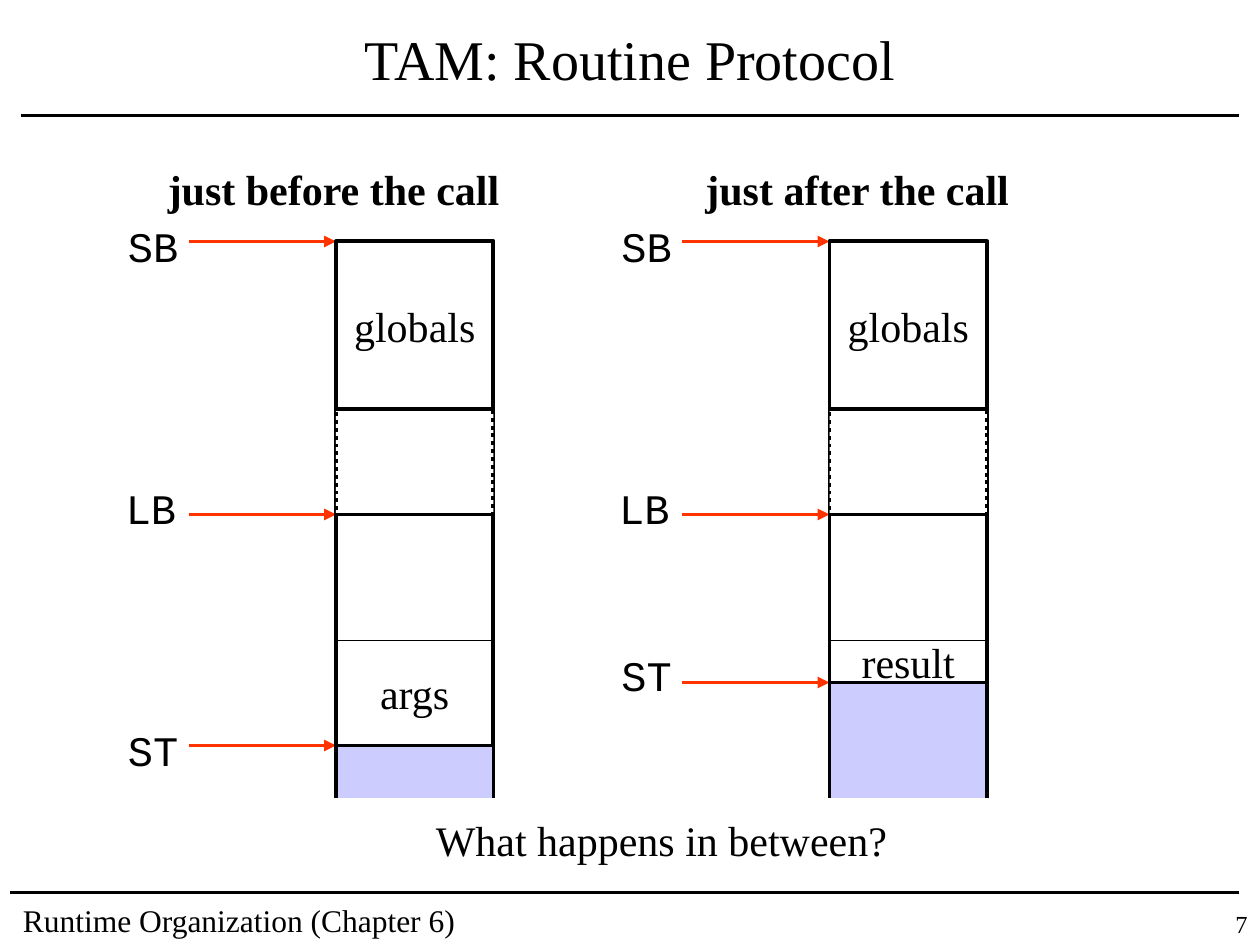
from dataclasses import dataclass

from lxml.etree import SubElement
from pptx import Presentation
from pptx.dml.color import RGBColor
from pptx.enum.dml import MSO_LINE
from pptx.enum.shapes import MSO_CONNECTOR, MSO_SHAPE
from pptx.enum.text import MSO_ANCHOR, PP_ALIGN
from pptx.oxml.ns import qn
from pptx.util import Pt

PX = 7620  # 120 px to the inch
SERIF, MONO = "Times New Roman", "Courier New"
HUES = {"ink": "000000", "paper": "FFFFFF", "free": "CCCCFF", "arrow": "FF3300"}
WIDE, TOP, BASE = 150, 230, 760  # stack width, upper and lower end
GLOBAL, FRAME, SPLIT = 390, 490, 610  # globals end, frame start, divider


@dataclass
class Mark:
    name: str
    dx: int
    top: int
    tip: int


@dataclass
class Stack:
    left: int
    head: str
    start: int
    span: int
    end: int
    mark: int
    item: str
    item_top: int


STACKS = [
    Stack(320, "just before the call", 148, 341, 710, 684, "args", 630),
    Stack(790, "just after the call", 660, 313, 650, 613, "result", 600),
]


def hue(name: str) -> RGBColor:
    return RGBColor.from_string(HUES[name])


def write(shape, words: str, size: int = 24, font: str = SERIF, bold: bool = False,
          align=PP_ALIGN.LEFT, anchor=MSO_ANCHOR.TOP, wrap: bool = True) -> None:
    frame = shape.text_frame
    frame.text = words
    frame.word_wrap = wrap
    frame.vertical_anchor = anchor
    para = frame.paragraphs[0]
    para.alignment = align
    para.font.name, para.font.size, para.font.bold = font, Pt(size), bold
    para.font.color.rgb = hue("ink")


def label(shapes, box: tuple[int, ...], words: str, **style) -> None:
    write(shapes.add_textbox(*(v * PX for v in box)), words, **style)


def line(shapes, x: int, y: int, end: int, color: str = "ink",
         width: float = 2.25, arrow: bool = False) -> None:
    """Draw a level line from x to end."""
    rule = shapes.add_connector(MSO_CONNECTOR.STRAIGHT, x * PX, y * PX, end * PX, y * PX)
    rule.line.color.rgb = hue(color)
    rule.line.width = Pt(width)
    if arrow:
        SubElement(rule.line._get_or_add_ln(), qn("a:tailEnd"), type="triangle")
    SubElement(rule._element.spPr, qn("a:effectLst"))


def paint(shape, fill: str) -> None:
    shape.shadow.inherit = False
    shape.fill.solid()
    shape.fill.fore_color.rgb = hue(fill)
    shape.line.color.rgb = hue("ink")
    shape.line.width = Pt(2.25)


def block(shapes, left: int, top: int, end: int):
    """Add a white stack section between two heights."""
    rect = shapes.add_shape(MSO_SHAPE.RECTANGLE, left * PX, top * PX,
                            WIDE * PX, (end - top) * PX)
    paint(rect, "paper")
    return rect


def draw(shapes, stack: Stack) -> None:
    left, right = stack.left, stack.left + WIDE
    path = shapes.build_freeform(left, BASE, scale=float(PX))
    path.add_line_segments([(left, TOP), (right, TOP), (right, BASE)], close=False)
    paint(path.convert_to_shape(), "free")

    marks = [Mark("SB", 210, 204, TOP), Mark("LB", 212, 454, FRAME),
             Mark("ST", 210, stack.mark, stack.end)]
    for mark in marks:
        label(shapes, (left - mark.dx, mark.top, 72, 60), mark.name, font=MONO, wrap=False)
        line(shapes, left - 140, mark.tip, left, "arrow", arrow=True)

    block(shapes, left, GLOBAL, 620).line.dash_style = MSO_LINE.ROUND_DOT
    block(shapes, left, FRAME, stack.end)
    write(block(shapes, left, TOP, GLOBAL), "globals", align=PP_ALIGN.CENTER,
          anchor=MSO_ANCHOR.MIDDLE, wrap=False)
    line(shapes, left, SPLIT, right, width=0.75)
    label(shapes, (stack.start, 150, stack.span, 60), stack.head, bold=True, wrap=False)
    label(shapes, (left + 10, stack.item_top, 130, 60), stack.item, align=PP_ALIGN.CENTER)


def main() -> None:
    deck = Presentation()
    deck.slide_width, deck.slide_height = 1200 * PX, 900 * PX
    slide = deck.slides.add_slide(deck.slide_layouts[5])
    shapes = slide.shapes

    title = shapes.title
    title.left, title.top, title.width, title.height = (v * PX for v in (30, 10, 1140, 90))
    write(title, "TAM: Routine Protocol", size=32, align=PP_ALIGN.CENTER,
          anchor=MSO_ANCHOR.MIDDLE)

    line(shapes, 20, 110, 1180)
    line(shapes, 10, 850, 1180)
    label(shapes, (10, 852, 460, 48), "Runtime Organization (Chapter 6)", size=18)
    for stack in STACKS:
        draw(shapes, stack)
    label(shapes, (260, 770, 740, 60), "What happens in between?", align=PP_ALIGN.CENTER)
    label(shapes, (1110, 860, 90, 40), "7", size=14, align=PP_ALIGN.RIGHT)
    deck.save("out.pptx")


if __name__ == "__main__":
    main()
